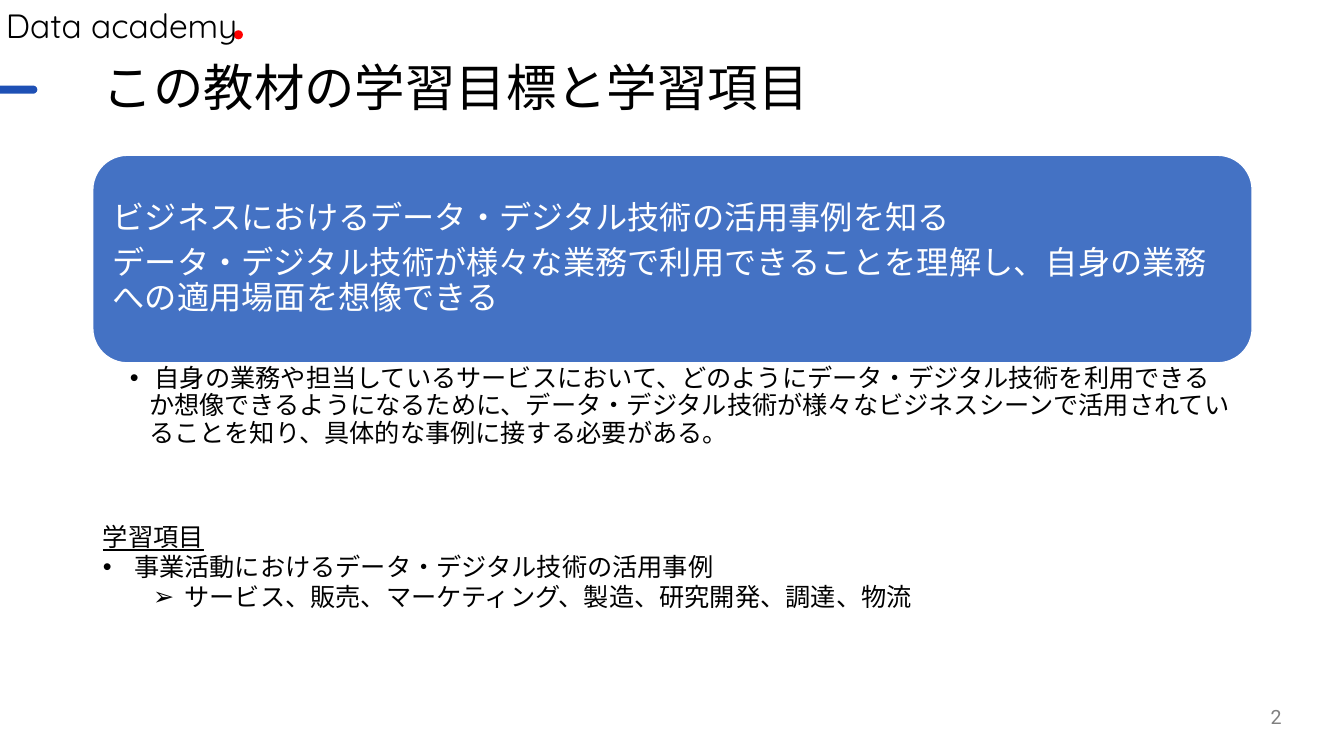
from lxml import etree
from pptx import Presentation
from pptx import util as u
from pptx.dml.color import RGBColor
from pptx.enum import lang, shapes, text
from pptx.oxml.ns import qn

CJK = "Noto Sans CJK JP"


def color(value):
    return RGBColor.from_string(value)


def add_bullet(p, char, left, hang):
    pPr = p._p.get_or_add_pPr()
    pPr.set("marL", str(u.Inches(left)))
    pPr.set("indent", str(-u.Inches(hang)))
    if char:
        etree.SubElement(pPr, qn("a:buFont")).set("typeface", "Arial")
        etree.SubElement(pPr, qn("a:buChar")).set("char", char)
    else:
        etree.SubElement(pPr, qn("a:buNone"))


def write(p, words, size=18, font=CJK, fill="000000", underline=False, align="LEFT",
          line=1.0, after=0, bullet=None, left=0, hang=0, level=0):
    p.level = level
    add_bullet(p, bullet, left, hang)
    p.alignment = getattr(text.PP_ALIGN, align)
    p.line_spacing = line
    p.space_before, p.space_after = u.Pt(0), u.Pt(after)
    r = p.add_run()
    r.text = words
    r.font.size, r.font.name = u.Pt(size), font
    r.font.underline = underline
    r.font.color.rgb = color(fill)
    r.font.language_id = lang.MSO_LANGUAGE_ID.JAPANESE
    latin = r._r.rPr.find(qn("a:latin"))
    ea = etree.Element(qn("a:ea"))
    ea.set("typeface", CJK)
    latin.addnext(ea)


class Deck:
    def __init__(self):
        self.prs = Presentation()
        self.prs.slide_width, self.prs.slide_height = u.Inches(13.33), u.Inches(7.5)
        self.s = self.prs.slides.add_slide(self.prs.slide_layouts[1])

    def box(self, left, top, width, height):
        w, h = self.prs.slide_width / 100, self.prs.slide_height / 100
        return int(left * w), int(top * h), int(width * w), int(height * h)

    def fill_text(self, sp, paragraphs, anchor="TOP", wrap=True, insets=(7.2, 3.6, 7.2, 3.6)):
        tf = sp.text_frame
        tf.auto_size = text.MSO_AUTO_SIZE.NONE
        tf.word_wrap = wrap
        tf.vertical_anchor = getattr(text.MSO_ANCHOR, anchor)
        tf.margin_left, tf.margin_top, tf.margin_right, tf.margin_bottom = map(u.Pt, insets)
        for i, (words, style) in enumerate(paragraphs):
            write(tf.add_paragraph() if i else tf.paragraphs[0], words, **style)

    def shape(self, kind, area, fill, line=None):
        sp = self.s.shapes.add_shape(getattr(shapes.MSO_SHAPE, kind), *self.box(*area))
        sp.shadow.inherit = False
        sp.fill.solid()
        sp.fill.fore_color.rgb = color(fill)
        if line:
            sp.line.color.rgb = color(line)
            sp.line.width = u.Pt(1)
        else:
            sp.line.fill.background()
        return sp

    def label(self, area, paragraphs, **frame):
        self.fill_text(self.s.shapes.add_textbox(*self.box(*area)), paragraphs, **frame)

    def placeholder(self, index, area, paragraphs, **frame):
        sp = self.s.placeholders[index]
        sp.left, sp.top, sp.width, sp.height = self.box(*area)
        self.fill_text(sp, paragraphs, **frame)


def main():
    deck = Deck()
    left, width = 6.9, 86.27

    deck.shape("OVAL", (17.4, 4, 0.68, 1.2), "FF0000")
    deck.label((-0.3, 0, 18.38, 6.67),
               [("Data academy", dict(size=24, font="Quicksand"))], wrap=False)
    dash = deck.shape("ROUNDED_RECTANGLE", (-0.75, 11.33, 3.53, 1.07), "1E50B5")
    dash.adjustments[0] = 0.5
    deck.placeholder(0, (left, 7.6, width, 8.67),
                     [("この教材の学習目標と学習項目", dict(size=36, font="Roboto", line=0.9))],
                     anchor="MIDDLE")

    goal = dict(size=23, fill="FFFFFF", line=0.9, after=7)
    panel = deck.shape("ROUNDED_RECTANGLE", (left, 20.53, width, 27.47), "4472C4", "FFFFFF")
    deck.fill_text(panel, [
        ("ビジネスにおけるデータ・デジタル技術の活用事例を知る", goal),
        ("データ・デジタル技術が様々な業務で利用できることを理解し、自身の業務への適用場面を想像できる", goal),
    ], anchor="MIDDLE", insets=(7.2, 7.2, 7.2, 7.2))

    deck.label((left, 48, width, 16.27), [
        (" 自身の業務や担当しているサービスにおいて、どのようにデータ・デジタル技術を利用できるか"
         "想像できるようになるために、データ・デジタル技術が様々なビジネスシーンで活用されている"
         "ことを知り、具体的な事例に接する必要がある。",
         dict(line=0.9, after=4, bullet="•", left=0.19, hang=0.19, level=1)),
    ], insets=(26.6, 2.2, 13, 2.2))

    deck.placeholder(1, (left, 68.27, 87.7, 13.47), [
        ("学習項目", dict(underline=True)),
        ("事業活動におけるデータ・デジタル技術の活用事例", dict(bullet="•", left=0.31, hang=0.31)),
        ("サービス、販売、マーケティング、製造、研究開発、調達、物流",
         dict(bullet="➢", left=0.81, hang=0.31, level=1)),
    ])
    deck.label((73.6, 92.13, 22.5, 5.33),
               [("2", dict(size=14, font="Roboto", fill="808080", align="RIGHT"))],
               anchor="MIDDLE")
    deck.prs.save("out.pptx")


if __name__ == "__main__":
    main()
